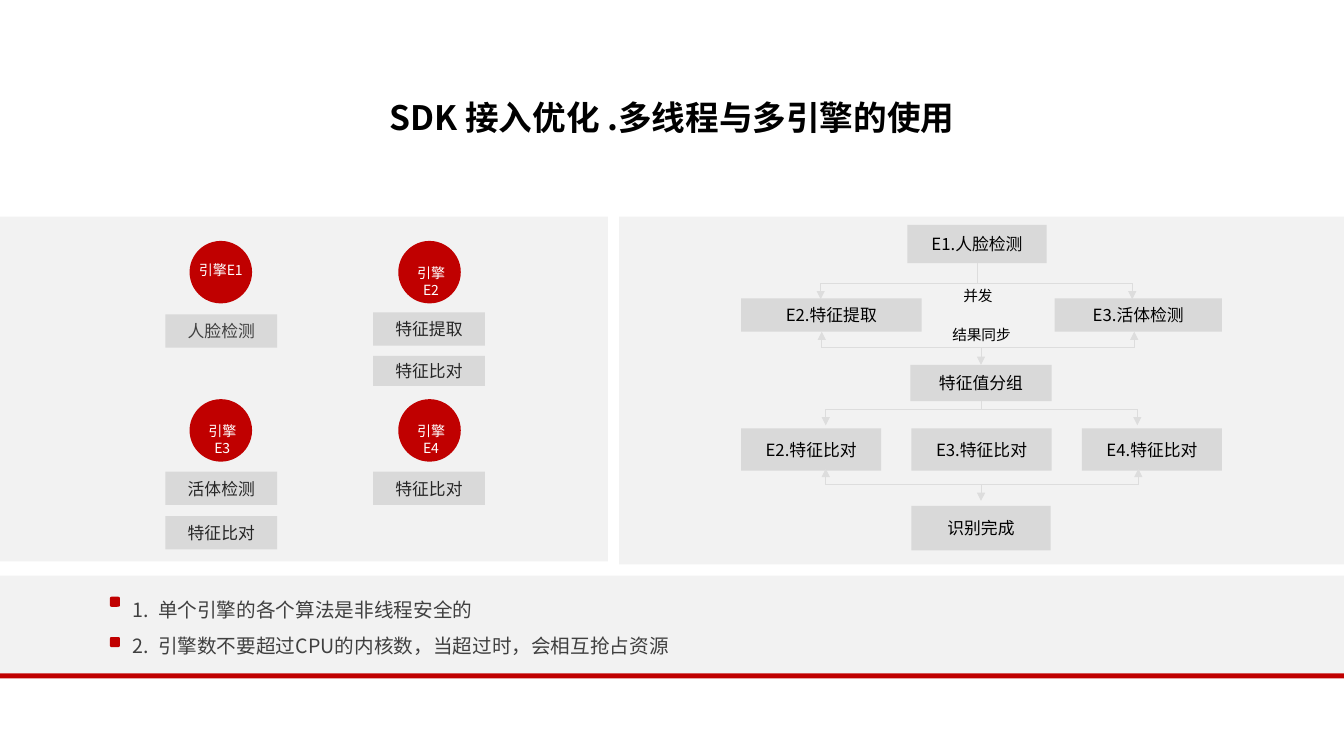
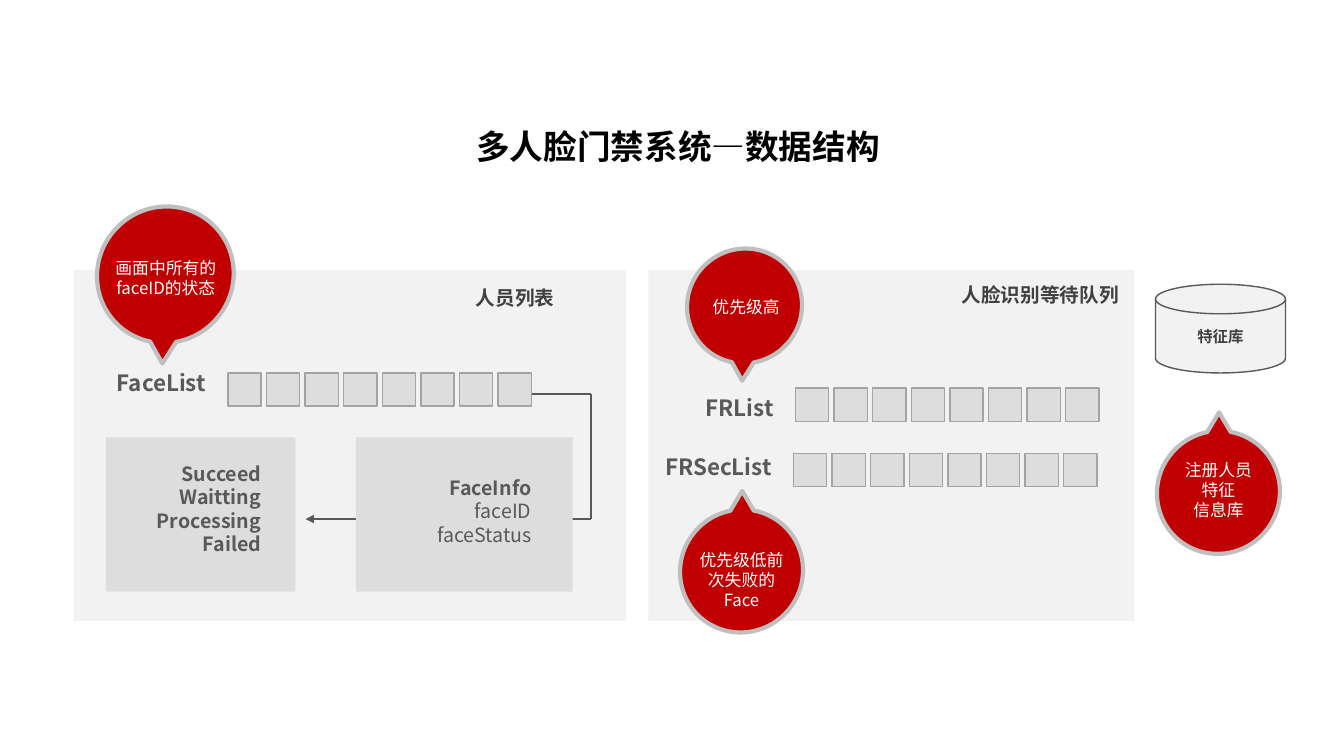
from lxml.etree import SubElement
from pptx import Presentation
from pptx.dml.color import RGBColor
from pptx.enum.shapes import MSO_CONNECTOR, MSO_SHAPE
from pptx.enum.text import MSO_ANCHOR, PP_ALIGN
from pptx.oxml.ns import qn
from pptx.util import Inches, Pt

FONT = "Noto Sans CJK SC"
COLORS = {
    "panel": "F2F2F2", "box": "D9D9D9", "card": "DDDDDD", "cell_edge": "A3A3A3",
    "red": "C00000", "rim": "BFBFBF", "flow": "DDDDDD", "gray": "595959",
    "text": "404040", "dark": "262626", "black": "000000", "white": "FFFFFF",
}
STYLES = {
    "title": {"size": 24, "bold": True, "color": "black", "spacing": 1.08},
    "step": {"size": 12, "color": "black"},
    "task": {"size": 12, "color": "dark"},
    "first_task": {"size": 12, "color": "text"},
    "caption": {"size": 10.5, "color": "black"},
    "engine": {"size": 10, "color": "white"},
    "note": {"size": 14, "color": "text", "spacing": 1.8, "align": PP_ALIGN.LEFT},
    "heading": {"size": 14, "bold": True, "color": "text", "align": PP_ALIGN.LEFT},
    "list": {"size": 16, "bold": True, "color": "gray", "align": PP_ALIGN.LEFT},
    "field": {"size": 14, "bold": True, "color": "gray", "align": PP_ALIGN.RIGHT},
    "store": {"size": 11, "bold": True, "color": "text"},
    "callout": {"size": 12, "color": "white"},
}


def add_box(page, kind, place, fill=None, line=None, text=None, style=None, wrap=True):
    lengths = [Inches(value) for value in place]
    if kind is None:
        box = page.shapes.add_textbox(*lengths)
    else:
        box = page.shapes.add_shape(kind, *lengths)
        box.shadow.inherit = False
        box.fill.solid()
        box.fill.fore_color.rgb = RGBColor.from_string(COLORS[fill])
        if line:
            box.line.color.rgb = RGBColor.from_string(COLORS[line[0]])
            box.line.width = Pt(line[1])
        else:
            box.line.fill.background()
    if text:
        look = STYLES[style]
        frame = box.text_frame
        frame.word_wrap = wrap
        frame.vertical_anchor = MSO_ANCHOR.MIDDLE if kind else MSO_ANCHOR.TOP
        for index, words in enumerate(text.split("\n")):
            para = frame.add_paragraph() if index else frame.paragraphs[0]
            formats = {
                "alignment": look.get("align", PP_ALIGN.CENTER),
                "line_spacing": Pt(look["size"] * look.get("spacing", 1.2)),
            }
            for name, value in formats.items():
                setattr(para, name, value)
            span = para.add_run()
            span.text = words
            formats = {"name": FONT, "size": Pt(look["size"]), "bold": look.get("bold", False)}
            for name, value in formats.items():
                setattr(span.font, name, value)
            span.font.color.rgb = RGBColor.from_string(COLORS[look["color"]])
            SubElement(span.font._element, qn("a:ea"), typeface=FONT)
    return box


def add_line(page, start, end, color, width, arrow=False):
    points = [Inches(value) for value in (*start, *end)]
    connector = page.shapes.add_connector(MSO_CONNECTOR.STRAIGHT, *points)
    connector.line.color.rgb = RGBColor.from_string(COLORS[color])
    connector.line.width = Pt(width)
    if arrow:
        SubElement(connector.line._get_or_add_ln(), qn("a:tailEnd"), type="triangle")
    SubElement(connector._element.spPr, qn("a:effectLst"))
    return connector


deck = Presentation()
deck.slide_width = Inches(13.33)
deck.slide_height = Inches(7.5)
pages = []
for left, top, title in [
    (0.63, 0.95, "SDK 接入优化 .多线程与多引擎的使用"),
    (0.69, 1.24, "多人脸门禁系统—数据结构"),
]:
    page = deck.slides.add_slide(deck.slide_layouts[6])
    add_box(page, None, (left, top, 12.07, 0.52), text=title, style="title")
    pages.append(page)
engine_page, data_page = pages

for place in [(6.14, 2.15, 7.19, 3.45), (0, 2.15, 6.03, 3.42), (0, 5.71, 13.33, 0.97)]:
    add_box(engine_page, MSO_SHAPE.RECTANGLE, place, "panel")

steps = {}
for left, top, width, height, text in [
    (9, 2.23, 1.38, 0.38, "E1.人脸检测"),
    (7.35, 2.96, 1.79, 0.33, "E2.特征提取"),
    (10.46, 2.96, 1.66, 0.33, "E3.活体检测"),
    (9.03, 3.62, 1.4, 0.36, "特征值分组"),
    (7.35, 4.25, 1.39, 0.42, "E2.特征比对"),
    (9.04, 4.25, 1.39, 0.42, "E3.特征比对"),
    (10.73, 4.25, 1.39, 0.42, "E4.特征比对"),
    (9.04, 5.02, 1.38, 0.44, "识别完成"),
]:
    place = (left, top, width, height)
    steps[text] = add_box(engine_page, MSO_SHAPE.RECTANGLE, place, "box", text=text, style="step")
for place, text in [((9.45, 2.8, 0.5, 0.28), "并发"), ((9.17, 3.18, 1.13, 0.28), "结果同步")]:
    add_box(engine_page, None, place, text=text, style="caption", wrap=False)

for left, right, y, reach in [
    (8.14, 11.23, 2.81, 0.16),
    (8.15, 11.25, 3.45, -0.16),
    (8.19, 11.28, 4.06, 0.16),
    (8.19, 11.29, 4.81, -0.16),
]:
    add_line(engine_page, (left, y), (right, y), "flow", 0.5)
    for x in (left, right):
        add_line(engine_page, (x, y), (x, y + reach), "flow", 0.5, arrow=True)
detect_stem = add_line(engine_page, (9.69, 2.61), (9.69, 2.81), "flow", 0.5)
detect_stem.begin_connect(steps["E1.人脸检测"], 2)
sync_stem = add_line(engine_page, (9.73, 3.45), (9.73, 3.62), "flow", 0.5, arrow=True)
sync_stem.end_connect(steps["特征值分组"], 0)
group_stem = add_line(engine_page, (9.73, 3.98), (9.73, 4.06), "flow", 0.5)
group_stem.begin_connect(steps["特征值分组"], 2)
add_line(engine_page, (9.73, 4.81), (9.73, 4.97), "flow", 0.5, arrow=True)

for left, top, height, text, style in [
    (1.64, 3.12, 0.33, "人脸检测", "first_task"),
    (3.7, 3.1, 0.33, "特征提取", "task"),
    (3.7, 3.53, 0.3, "特征比对", "task"),
    (3.7, 4.68, 0.33, "特征比对", "task"),
    (1.64, 4.68, 0.33, "活体检测", "task"),
    (1.64, 5.12, 0.33, "特征比对", "task"),
]:
    place = (left, top, 1.11, height)
    add_box(engine_page, MSO_SHAPE.RECTANGLE, place, "box", text=text, style=style)
for left, top, label_place, text in [
    (1.88, 2.39, (1.75, 2.55, 0.88, 0.24), "引擎E1"),
    (3.95, 2.39, (3.99, 2.58, 0.57, 0.24), "引擎E2"),
    (1.88, 3.96, (1.92, 4.14, 0.57, 0.24), "引擎E3"),
    (3.95, 3.96, (3.99, 4.14, 0.57, 0.24), "引擎E4"),
]:
    add_box(engine_page, MSO_SHAPE.OVAL, (left, top, 0.62, 0.62), "red")
    add_box(engine_page, None, label_place, text=text, style="engine")

notes = add_box(
    engine_page, None, (0.72, 5.77, 7.36, 0.77), style="note",
    text="单个引擎的各个算法是非线程安全的\n引擎数不要超过CPU的内核数，当超过时，会相互抢占资源",
)
for para in notes.text_frame.paragraphs:
    para.level = 1
    properties = para._p.get_or_add_pPr()
    properties.set("marL", str(Inches(0.75)))
    properties.set("indent", str(Inches(-0.25)))
    SubElement(properties, qn("a:buAutoNum"), type="arabicPeriod")
for top in (5.92, 6.32):
    add_box(engine_page, MSO_SHAPE.ROUNDED_RECTANGLE, (1.09, top, 0.1, 0.1), "red")
add_box(engine_page, MSO_SHAPE.RECTANGLE, (0, 6.68, 13.33, 0.05), "red")

for left, width in [(0.73, 5.48), (6.43, 4.82)]:
    add_box(data_page, MSO_SHAPE.RECTANGLE, (left, 2.68, width, 3.48), "panel")
add_line(data_page, (5.25, 3.91), (5.86, 3.91), "gray", 1.5)
add_line(data_page, (5.86, 3.91), (5.86, 5.15), "gray", 1.5)
add_line(data_page, (5.86, 5.15), (3.03, 5.15), "gray", 1.5, arrow=True)
for left, width in [(1.05, 1.88), (3.53, 2.15)]:
    add_box(data_page, MSO_SHAPE.RECTANGLE, (left, 4.34, width, 1.53), "card")

statuses = "Succeed\nWaitting\nProcessing\nFailed"
add_box(data_page, None, (1.34, 4.53, 1.35, 1.04), text=statuses, style="field")
fields = "FaceInfo\nfaceID\nfaceStatus"
face_info = add_box(data_page, None, (4.13, 4.67, 1.24, 0.8), text=fields, style="field")
for para in face_info.text_frame.paragraphs[1:]:
    para.runs[0].font.bold = False

for place, text, style in [
    ((4.62, 2.79, 0.99, 0.34), "人员列表", "heading"),
    ((9.44, 2.76, 1.77, 0.34), "人脸识别等待队列", "heading"),
    ((1.06, 3.61, 1.18, 0.37), "FaceList", "list"),
    ((6.9, 3.86, 0.98, 0.37), "FRList", "list"),
    ((6.5, 4.45, 1.36, 0.37), "FRSecList", "list"),
]:
    add_box(data_page, None, place, text=text, style=style)

cell_count = 8
cell_step = 2.68 / (cell_count - 1)
for left, top in [(2.26, 3.7), (7.89, 3.85), (7.87, 4.5)]:
    for index in range(cell_count):
        place = (left + index * cell_step, top, 0.33, 0.33)
        add_box(data_page, MSO_SHAPE.RECTANGLE, place, "card", ("cell_edge", 1))

add_box(
    data_page, MSO_SHAPE.FLOWCHART_MAGNETIC_DISK, (11.46, 2.82, 1.29, 0.88),
    "panel", ("gray", 1), "特征库", "store",
)

for place, rotation, label_place, text in [
    ((0.97, 2.04, 1.34, 1.37), 46.3, (0.99, 2.51, 1.31, 0.5), "画面中所有的\nfaceID的状态"),
    ((6.82, 2.46, 1.13, 1.15), 46.3, (6.96, 2.89, 0.88, 0.3), "优先级高"),
    ((6.75, 5.05, 1.21, 1.23), 225, (6.82, 5.4, 1.07, 0.71), "优先级低前次失败的Face"),
    ((11.48, 4.27, 1.21, 1.23), 225, (11.28, 4.51, 1.61, 0.71), "注册人员\n特征\n信息库"),
]:
    callout = add_box(data_page, MSO_SHAPE.OVAL_CALLOUT, place, "red", ("rim", 3))
    callout.adjustments[0] = -0.46
    callout.adjustments[1] = 0.46
    callout.rotation = rotation
    callout._element.spPr.xfrm.set("flipH", "1")
    add_box(data_page, None, label_place, text=text, style="callout")

deck.save("out.pptx")
